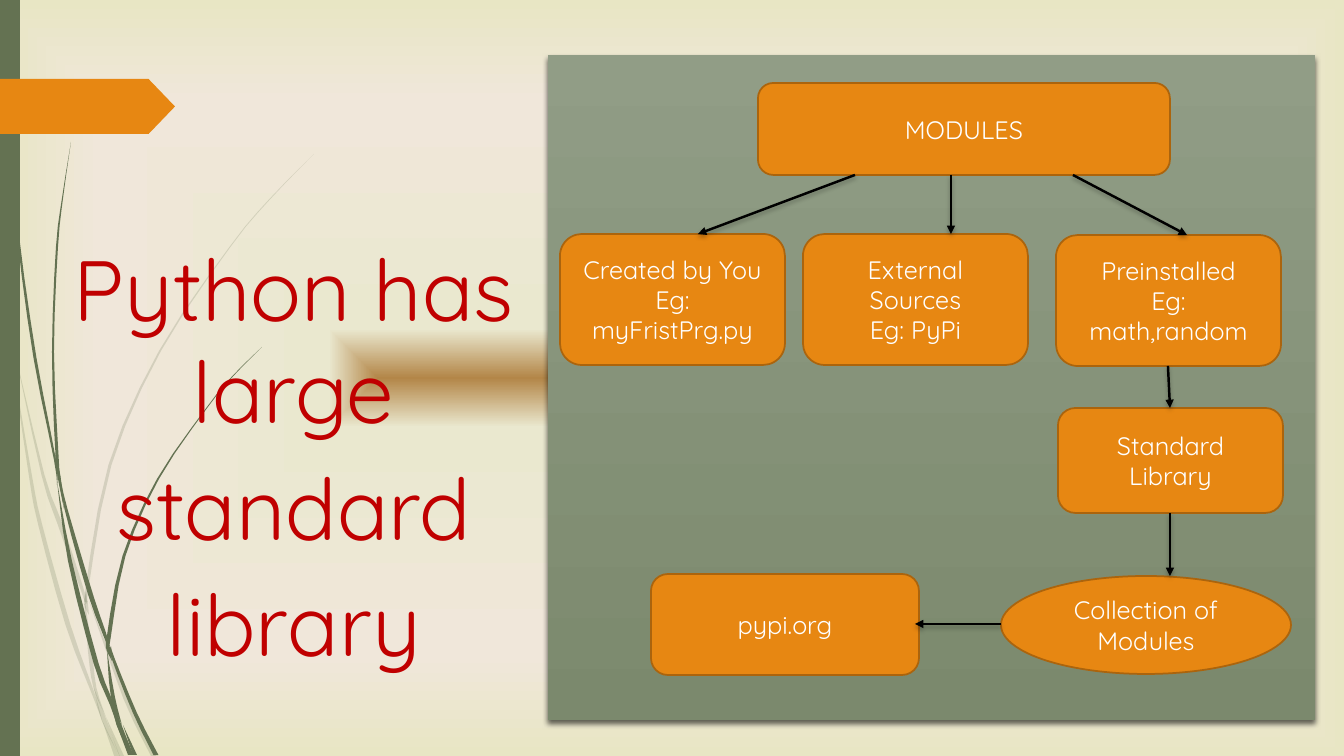
from lxml import etree
from pptx import Presentation
from pptx.dml.color import RGBColor
from pptx.enum.shapes import MSO_CONNECTOR, MSO_SHAPE
from pptx.enum.text import MSO_ANCHOR, MSO_AUTO_SIZE, PP_ALIGN
from pptx.oxml import parse_xml
from pptx.oxml.ns import nsdecls, qn
from pptx.util import Pt

RECTANGLE, ROUNDED = MSO_SHAPE.RECTANGLE, MSO_SHAPE.ROUNDED_RECTANGLE
ELLIPSE, PENTAGON = MSO_SHAPE.OVAL, MSO_SHAPE.PENTAGON
STRAIGHT = MSO_CONNECTOR.STRAIGHT
TOP, MIDDLE, CENTER = MSO_ANCHOR.TOP, MSO_ANCHOR.MIDDLE, PP_ALIGN.CENTER

EMU_PER_PX = 914400 / 100.8
GREEN, ORANGE, BROWN, BLACK = "647252", "E78712", "AB640D", "000000"
BACKGROUND_STOPS = [(0, "B38648"), (13, "EAE8CF"), (73, "F0E7DA"), (100, "E8E6C4")]
NODE_FONT = {"name": "Quicksand", "size": Pt(18)}
TITLE_FONT = {"name": "Quicksand", "size": Pt(61), "bold": False}

# Each blade section is a centre line of (x, y, width), from tip to root.
PALE_BLADES = [
    [(0, 293, 1), (6, 326, 2), (11, 353, 0)],
    [(14, 348, 0), (43, 475, 3), (60, 524, 5), (84, 595, 3), (85, 604, 0)],
    [(89, 601, 0), (126, 699, 5), (154, 757, 5)],
    [(106, 717, 0), (122, 757, 5)],
    [(11, 353, 0), (30, 473, 3), (40, 524, 4), (68, 625, 5), (93, 693, 3), (102, 720, 0)],
    [(85, 604, 1), (90, 651, 4), (95, 688, 3), (106, 717, 0)],
    [(314, 154, 0), (270, 199, 1), (230, 247, 1), (160, 351, 2), (110, 465, 3),
     (87, 589, 3), (88, 601, 0)],
    [(102, 720, 0), (117, 757, 5)],
    [(86, 591, 0), (86, 604, 4), (89, 615, 0)],
    [(94, 688, 0), (104, 720, 5), (120, 757, 0)],
]
DARK_BLADES = [
    [(4, 0, 1), (8, 111, 1), (18, 235, 2), (35, 358, 3), (55, 460, 2), (57, 485, 0)],
    [(60, 476, 0), (66, 509, 3), (91, 596, 5), (107, 641, 3), (107, 650, 0)],
    [(111, 646, 0), (113, 658, 3), (135, 713, 4), (156, 755, 5)],
    [(57, 481, 0), (70, 561, 4), (96, 663, 5), (112, 705, 4), (118, 728, 0)],
    [(71, 142, 0), (63, 195, 1), (57, 247, 2), (53, 352, 2), (57, 454, 3), (60, 476, 0)],
    [(123, 725, 0), (135, 755, 4)],
    [(55, 453, 0), (59, 476, 3), (64, 509, 0)],
    [(262, 347, 0), (233, 376, 1), (206, 409, 1), (158, 479, 2), (124, 556, 3),
     (109, 636, 4), (110, 646, 0)],
    [(118, 728, 0), (130, 755, 4)],
    [(107, 650, 0), (113, 697, 4), (122, 725, 0)],
    [(107, 636, 0), (108, 648, 4), (112, 661, 0)],
    [(111, 697, 0), (119, 725, 5), (132, 755, 3)],
]

# Positions are relative to the panel.
NODES = [
    (ROUNDED, (210, 28, 412, 92), ["MODULES"]),
    (ROUNDED, (12, 179, 225, 131), ["Created by You", "Eg: myFristPrg.py"]),
    (ROUNDED, (255, 179, 225, 131), ["External Sources", "Eg: PyPi"]),
    (ROUNDED, (508, 180, 225, 131), ["Preinstalled", "Eg: math,random"]),
    (ROUNDED, (510, 353, 225, 105), ["Standard Library"]),
    (ELLIPSE, (453, 521, 290, 98), ["Collection of Modules"]),
    (ROUNDED, (103, 519, 268, 101), ["pypi.org"]),
]
ARROWS = [
    (307, 120, 150, 179), (403, 120, 403, 179), (525, 120, 639, 180),
    (620, 311, 622, 353), (622, 458, 622, 521), (453, 569, 367, 569),
]


def px(length):
    return round(length * EMU_PER_PX)


def color(value):
    return RGBColor.from_string(value)


def fill_plain(shape, fill):
    shape.shadow.inherit = False
    shape.fill.solid()
    shape.fill.fore_color.rgb = color(fill)
    shape.line.fill.background()
    return shape


def add_filled(slide, kind, box, fill):
    return fill_plain(slide.shapes.add_shape(kind, *map(px, box)), fill)


def write_text(shape, lines, font, font_color, anchor, space_before=0):
    frame = shape.text_frame
    frame.word_wrap = True
    frame.auto_size = MSO_AUTO_SIZE.NONE
    frame.vertical_anchor = anchor
    frame.text = "\n".join(lines)
    for index, paragraph in enumerate(frame.paragraphs):
        paragraph.alignment = CENTER
        paragraph.space_before = Pt(space_before if index else 0)
        for name, value in font.items():
            setattr(paragraph.font, name, value)
        paragraph.font.color.rgb = color(font_color)


def add_shadow(shape, opacity, blur, distance):
    properties = shape.element.spPr
    for effects in properties.findall(qn("a:effectLst")):
        properties.remove(effects)
    properties.append(parse_xml(
        f'<a:effectLst {nsdecls("a")}><a:outerShdw blurRad="{Pt(blur)}" '
        f'dist="{Pt(distance)}" dir="5400000" rotWithShape="0">'
        f'<a:srgbClr val="{BLACK}"><a:alpha val="{opacity * 1000}"/></a:srgbClr>'
        '</a:outerShdw></a:effectLst>'))


def paint_background(slide):
    stops = "".join(f'<a:gs pos="{position * 1000}"><a:srgbClr val="{value}"/></a:gs>'
                    for position, value in BACKGROUND_STOPS)
    slide.background.fill.solid()
    properties = slide.element.find(".//" + qn("p:bgPr"))
    properties.replace(properties[0], parse_xml(
        f'<a:gradFill {nsdecls("a")} rotWithShape="1"><a:gsLst>{stops}</a:gsLst>'
        '<a:path path="shape"><a:fillToRect l="50000" t="50000" r="50000" b="50000"/>'
        '</a:path></a:gradFill>'))


def smooth(points, steps=3):
    """Return points on a Catmull-Rom curve through the given points."""
    padded = [points[0], *points, points[-1]]
    curve = []
    for section in zip(padded, padded[1:], padded[2:], padded[3:]):
        for t in (step / steps for step in range(steps)):
            curve.append(tuple(
                q + t * (r - p) / 2 + t * t * (2 * p - 5 * q + 4 * r - s) / 2
                + t ** 3 * (3 * q - p - 3 * r + s) / 2
                for p, q, r, s in zip(*section)))
    return curve + [points[-1]]


def add_blade(slide, points, opacity):
    curve = smooth(points)
    outline = [(px(x - width / 2), px(y)) for x, y, width in curve]
    outline += [(px(x + width / 2), px(y)) for x, y, width in reversed(curve)]
    builder = slide.shapes.build_freeform(*outline[0])
    builder.add_line_segments(outline[1:], close=True)
    blade = fill_plain(builder.convert_to_shape(), GREEN)
    if opacity < 100:
        tint = blade.element.spPr.find(".//" + qn("a:srgbClr"))
        etree.SubElement(tint, qn("a:alpha")).set("val", str(opacity * 1000))


def add_decoration(slide, height):
    for blades, opacity in ((PALE_BLADES, 20), (DARK_BLADES, 100)):
        for points in blades:
            add_blade(slide, points, opacity)
    add_filled(slide, RECTANGLE, (0, 0, 20, height), GREEN)
    tag = add_filled(slide, PENTAGON, (0, 79, 175, 55), ORANGE)
    tag.adjustments[0] = 0.48


def add_arrow(slide, left, top, ends):
    x1, y1, x2, y2 = ends
    arrow = slide.shapes.add_connector(
        STRAIGHT, px(left + x1), px(top + y1), px(left + x2), px(top + y2))
    arrow.line.color.rgb = color(BLACK)
    arrow.line.width = Pt(1.75)
    line = arrow.element.spPr.find(qn("a:ln"))
    etree.SubElement(line, qn("a:tailEnd")).set("type", "triangle")
    add_shadow(arrow, 25, 3, 2)


def add_module_diagram(slide, left, top, width, height):
    panel = add_filled(slide, RECTANGLE, (left, top, width, height), GREEN)
    panel.fill.gradient()
    panel.fill.gradient_angle = 270
    for stop, value in zip(panel.fill.gradient_stops, ("919D86", "7B896D")):
        stop.color.rgb = color(value)
    add_shadow(panel, 60, 4, 3)
    for kind, (x, y, *size), lines in NODES:
        node = add_filled(slide, kind, (left + x, top + y, *size), ORANGE)
        node.line.color.rgb = color(BROWN)
        node.line.width = Pt(1.25)
        write_text(node, lines, NODE_FONT, "FFFFFF", MIDDLE)
    for ends in ARROWS:
        add_arrow(slide, left, top, ends)


def place_title(slide, *box):
    title = slide.shapes.title
    title.left, title.top, title.width, title.height = map(px, box)
    write_text(title, ["Python has large", "standard", "library"],
               TITLE_FONT, "C00000", TOP, space_before=10)
    title.text_frame.margin_top = 0
    title.element.getparent().append(title.element)


def main():
    presentation = Presentation()
    presentation.slide_width, presentation.slide_height = px(1344), px(756)
    slide = presentation.slides.add_slide(presentation.slide_layouts[5])
    paint_background(slide)
    add_decoration(slide, 756)
    add_module_diagram(slide, 548, 55, 767, 665)
    place_title(slide, 21, 236, 545, 460)
    presentation.save("out.pptx")


if __name__ == "__main__":
    main()
